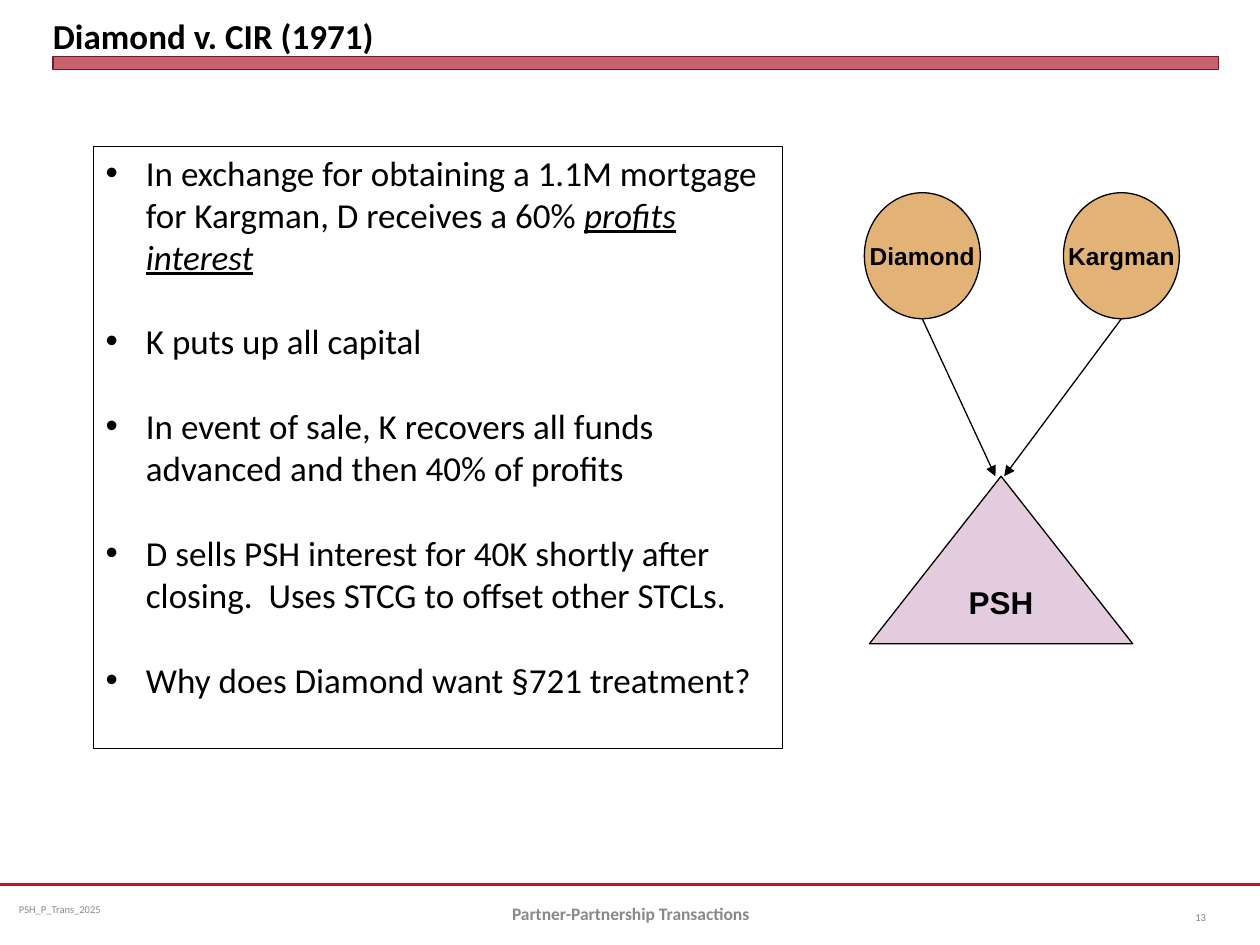
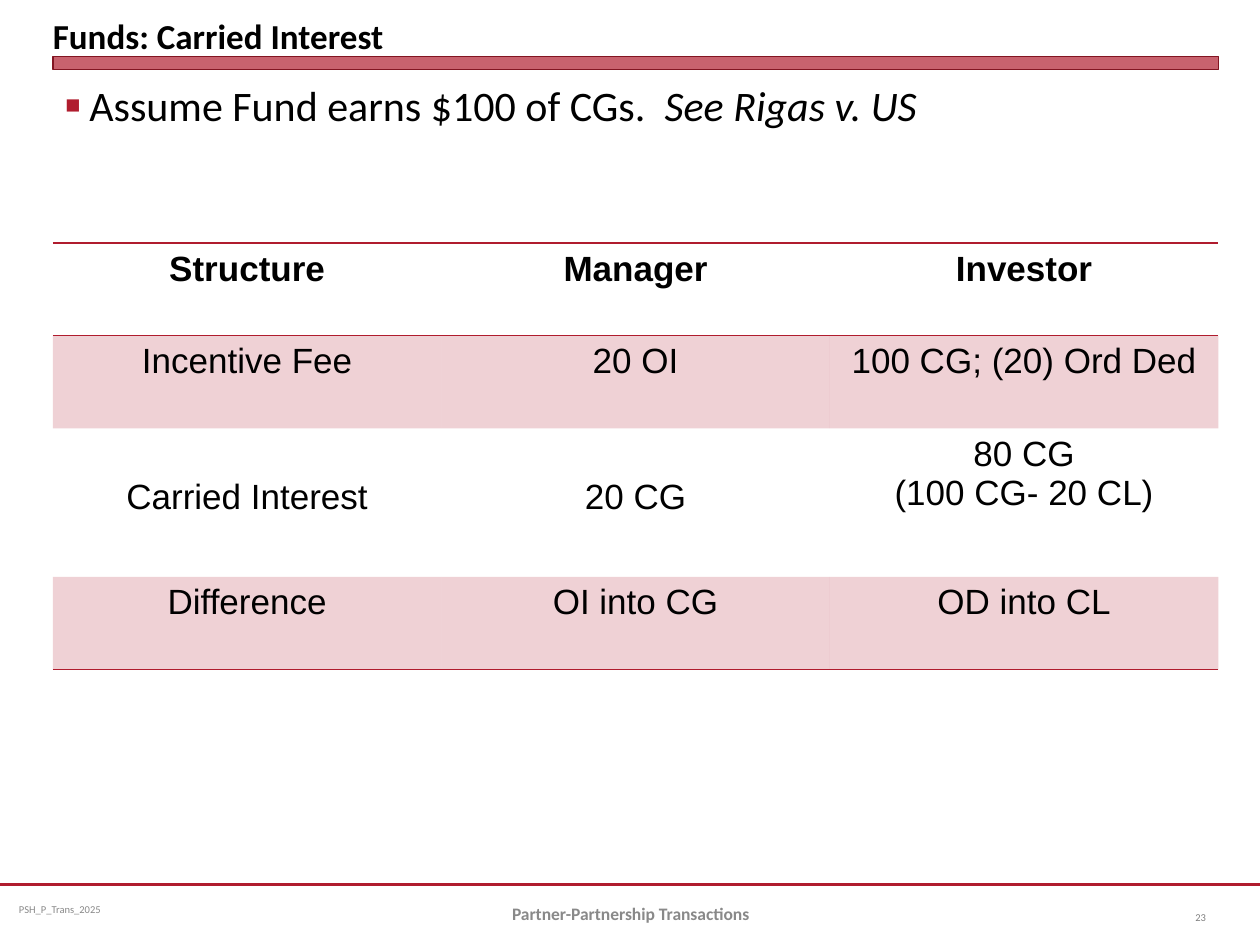
from lxml.etree import SubElement
from pptx import Presentation
from pptx.dml.color import RGBColor
from pptx.enum.shapes import MSO_CONNECTOR as Connector, MSO_SHAPE as Shape
from pptx.enum.text import MSO_ANCHOR as Anchor, PP_ALIGN as Align
from pptx.oxml import parse_xml
from pptx.oxml.ns import nsdecls, qn
from pptx.util import Inches, Pt

RED, DARK_RED, BLACK, GRAY, PAGE_GRAY = "B01C2E", "821522", "000000", "898989", "808080"
ORANGE, LILAC = "E3B276", "E3CCDD"
UNIT = Inches(0.1)  # the slide is a grid of 100 columns by 75 rows
LEFT, WIDTH = 4.2, 92.5
PLAIN_TABLE = "{2D5ABB26-0587-4C30-8999-92F81FD0307C}"


def paint(fill, color, element=None, opacity=100):
    """Fill with a hex colour; below full opacity, element holds the colour."""
    fill.solid()
    fill.fore_color.rgb = RGBColor.from_string(color)
    if opacity < 100:
        for node in element.iter(qn("a:srgbClr")):
            SubElement(node, qn("a:alpha"), val=str(opacity * 1000))


def write(frame, paragraphs, style, color=BLACK, align=Align.LEFT, layout=None, bullet=None, gap=0):
    """Write paragraphs, each a list of (text, extra font values) runs."""
    for name, value in (layout or {}).items():
        setattr(frame, name, value)
    for index, runs in enumerate(paragraphs):
        paragraph = frame.add_paragraph() if index else frame.paragraphs[0]
        paragraph.alignment = align
        if bullet:
            mark, indent, mark_color, size = bullet
            properties = paragraph._p.get_or_add_pPr()
            properties.set("marL", str(Inches(indent)))
            properties.set("indent", str(-Inches(indent)))
            SubElement(SubElement(properties, qn("a:buClr")), qn("a:srgbClr"), val=mark_color)
            SubElement(properties, qn("a:buSzPct"), val=str(size * 1000))
            SubElement(properties, qn("a:buFont"), typeface="Arial")
            SubElement(properties, qn("a:buChar"), char=mark)
        if gap and index < len(paragraphs) - 1:
            paragraph.space_after = Pt(gap)
        for text, extra in runs:
            run = paragraph.add_run()
            run.text = text
            for name, value in {**style, **extra}.items():
                setattr(run.font, name, value)
            paint(run.font.fill, color)


presentation = Presentation()
presentation.slide_width, presentation.slide_height = 100 * UNIT, 75 * UNIT

title_style = {"name": "Calibri", "size": Pt(20), "bold": True}
footer_style = {"name": "Calibri", "size": Pt(10), "bold": True}
small_style = {"name": "Calibri", "size": Pt(6)}
middle = {"word_wrap": True, "vertical_anchor": Anchor.MIDDLE}
title_layout = {"word_wrap": True, "vertical_anchor": Anchor.BOTTOM, "margin_left": 0,
                "margin_right": 0, "margin_top": 0, "margin_bottom": 0}
tag_layout = {**middle, "margin_left": Inches(0.07), "margin_right": Inches(0.07)}

# Title, band and footer on every slide
slides = []
for title, number in [("Diamond v. CIR (1971)", "13"), ("Funds: Carried Interest", "23")]:
    slide = presentation.slides.add_slide(presentation.slide_layouts[6])
    slides.append(slide)
    rule = slide.shapes.add_connector(Connector.STRAIGHT, 0, int(70.2 * UNIT), 100 * UNIT, int(70.2 * UNIT))
    rule.line.width = Pt(1.25)
    paint(rule.line.fill, RED)
    SubElement(rule._element.spPr, qn("a:effectLst"))

    band = slide.shapes.add_shape(Shape.RECTANGLE, *(int(v * UNIT) for v in (LEFT, 4.5, WIDTH, 1)))
    band.shadow.inherit = False
    paint(band.fill, RED, band._element.spPr, 69)
    paint(band.line.fill, DARK_RED)
    band.line.width = 0

    for place, text, style, color, align, layout in [
        ((LEFT, 0.5, WIDTH, 4), title, title_style, BLACK, Align.LEFT, title_layout),
        ((0.8, 70.2, 25.8, 4), "PSH_P_Trans_2025", small_style, GRAY, Align.LEFT, tag_layout),
        ((34.2, 70.5, 31.7, 4), "Partner-Partnership Transactions", footer_style, GRAY, Align.CENTER, middle),
        ((91.7, 70.8, 5, 4), number, small_style, PAGE_GRAY, Align.RIGHT, middle),
    ]:
        box = slide.shapes.add_textbox(*(int(v * UNIT) for v in place))
        write(box.text_frame, [[(text, {})]], style, color, align, layout)

case_slide, funds_slide = slides

# Diamond v. CIR: facts and ownership diagram
facts = [
    [("In exchange for obtaining a 1.1M mortgage for Kargman, D receives a 60% ", {}),
     ("profits interest", {"italic": True, "underline": True})],
    [("K puts up all capital", {})],
    [("In event of sale, K recovers all funds advanced and then 40% of profits", {})],
    [("D sells PSH interest for 40K shortly after closing.  Uses STCG to offset other STCLs.", {})],
    [("Why does Diamond want §721 treatment?", {})],
]
facts_box = case_slide.shapes.add_textbox(*(int(v * UNIT) for v in (7.4, 11.6, 54.7, 47.8)))
paint(facts_box.line.fill, BLACK)
facts_box.line.width = Pt(0.5)
write(facts_box.text_frame, facts, {"name": "Calibri", "size": Pt(20)},
      layout={"word_wrap": True, "vertical_anchor": Anchor.TOP, "margin_top": Inches(0.04)},
      bullet=("•", 0.32, BLACK, 100), gap=24.4)

for kind, place, name, size, color in [
    (Shape.OVAL, (68.6, 15.3, 9.2, 10), "Diamond", 14, ORANGE),
    (Shape.OVAL, (84.4, 15.3, 9.2, 10), "Kargman", 14, ORANGE),
    (Shape.ISOSCELES_TRIANGLE, (69, 37.8, 20.9, 13.3), "PSH", 18, LILAC),
]:
    party = case_slide.shapes.add_shape(kind, *(int(v * UNIT) for v in place))
    party.shadow.inherit = False
    paint(party.fill, color)
    paint(party.line.fill, BLACK)
    party.line.width = Pt(0.75)
    write(party.text_frame, [[(name, {})]], {"name": "Arial", "size": Pt(size), "bold": True},
          align=Align.CENTER, layout={"word_wrap": False, "vertical_anchor": Anchor.MIDDLE})

for start, end in [(73.2, 79), (89, 79.7)]:
    arrow = case_slide.shapes.add_connector(
        Connector.STRAIGHT, *(int(v * UNIT) for v in (start, 25.3, end, 37.8)))
    arrow.line.width = Pt(0.75)
    paint(arrow.line.fill, BLACK)
    SubElement(arrow.line._get_or_add_ln(), qn("a:tailEnd"), type="triangle")
    SubElement(arrow._element.spPr, qn("a:effectLst"))

# Carried interest: assumption and comparison table
assumption = funds_slide.shapes.add_textbox(*(int(v * UNIT) for v in (LEFT, 5.8, WIDTH, 63.6)))
write(assumption.text_frame,
      [[("Assume Fund earns $100 of CGs.  ", {}), ("See Rigas v. US", {"italic": True})]],
      {"name": "Calibri", "size": Pt(24)}, align=Align.JUSTIFY,
      layout={"word_wrap": True}, bullet=("■", 0.19, RED, 60))

outcomes = [
    ["Structure", "Manager", "Investor"],
    ["Incentive Fee", "20 OI", "100 CG; (20) Ord Ded"],
    ["Carried Interest", "20 CG", "80 CG\n(100 CG- 20 CL)"],
    ["Difference", "OI into CG", "OD into CL"],
]
row_heights = [7.35, 7.35, 11.8, 7.35]
row_borders = ["BT", "", "", "B"]
table = funds_slide.shapes.add_table(
    4, 3, *(int(v * UNIT) for v in (LEFT, 19.3, WIDTH, sum(row_heights)))).table
table.first_row = table.horz_banding = False
table._tbl.tblPr.find(qn("a:tableStyleId")).text = PLAIN_TABLE

for row, (texts, height, borders) in enumerate(zip(outcomes, row_heights, row_borders)):
    table.rows[row].height = int(height * UNIT)
    for column, text in enumerate(texts):
        cell = table.cell(row, column)
        if row % 2:
            paint(cell.fill, RED, cell._tc, 20)
        else:
            cell.fill.background()
        for side in borders:
            cell._tc.get_or_add_tcPr().insert(0, parse_xml(
                f'<a:ln{side} {nsdecls("a")} w="{Pt(1)}"><a:solidFill><a:srgbClr val="{RED}"/>'
                f'</a:solidFill></a:ln{side}>'))
        lines = text.split("\n")
        if row == 2 and len(lines) == 1:
            cell.margin_top = Inches(0.39)  # level with the second line beside it
        write(cell.text_frame, [[(line, {})] for line in lines],
              {"name": "Arial", "size": Pt(20), "bold": row == 0}, align=Align.CENTER)

presentation.save("out.pptx")
